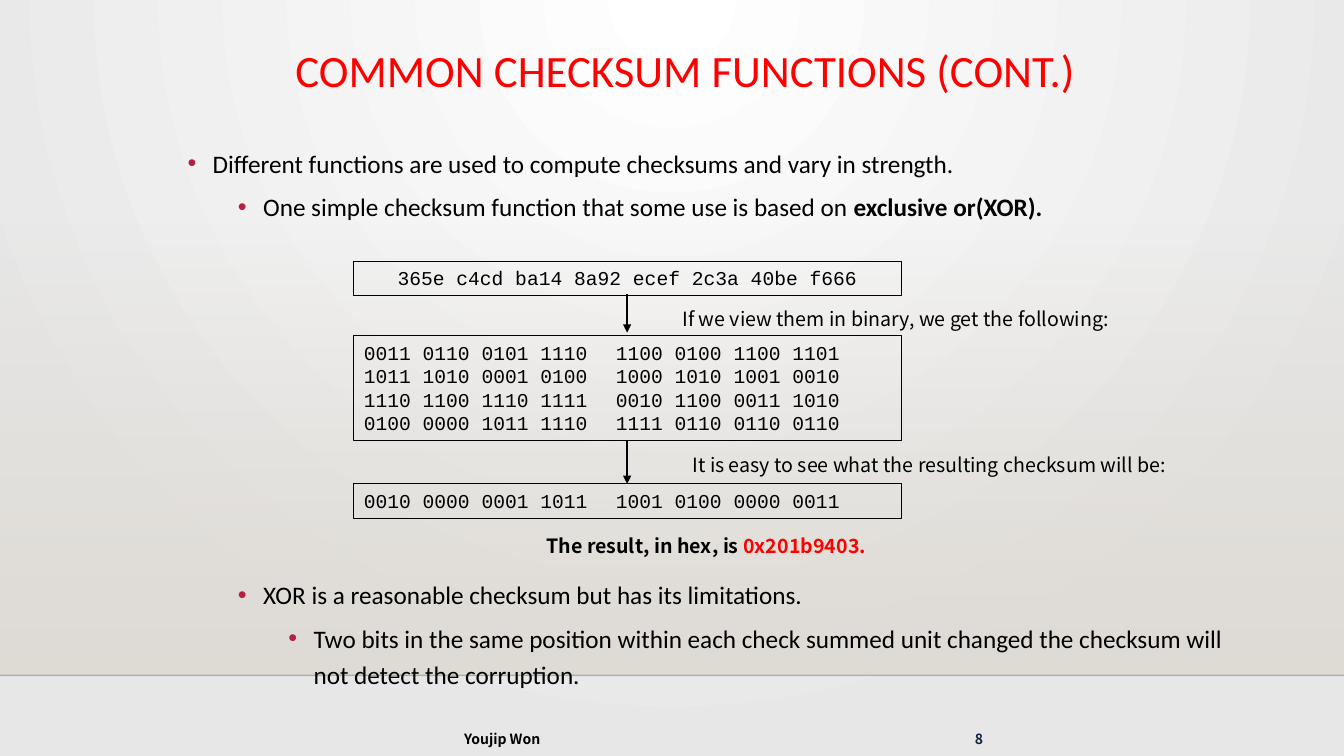
from lxml import etree
from pptx import Presentation
from pptx.dml.color import RGBColor
from pptx.enum.shapes import MSO_CONNECTOR, MSO_SHAPE
from pptx.enum.text import MSO_ANCHOR, MSO_AUTO_SIZE, PP_ALIGN
from pptx.oxml import parse_xml
from pptx.oxml.ns import nsdecls, qn
from pptx.util import Inches, Pt

RECTANGLE = MSO_SHAPE.RECTANGLE
STRAIGHT = MSO_CONNECTOR.STRAIGHT
LEFT, CENTER, RIGHT = PP_ALIGN.LEFT, PP_ALIGN.CENTER, PP_ALIGN.RIGHT
TOP, MIDDLE = MSO_ANCHOR.TOP, MSO_ANCHOR.MIDDLE
NO_AUTOFIT = MSO_AUTO_SIZE.NONE

BODY_FONT, CODE_FONT, NOTE_FONT = "Calibri", "Courier New", "Noto Sans CJK KR"
BLACK, RED, BULLET, NAVY = "000000", "FF0000", "B71E42", "0F243E"
BOX_LEFT, BOX_WIDTH, ARROW_X = 3.51, 5.43, 6.22

BULLETS = [
    (0, 10, [("Different functions are used to compute checksums and vary in strength.", False)]),
    (1, 5, [("One simple checksum function that some use is based on ", False),
            ("exclusive or(XOR).", True)]),
    (1, 251.5, [("XOR is a reasonable checksum but has its limitations.", False)]),
    (2, 5, [("Two bits in the same position within each check summed unit changed "
             "the checksum will not detect the corruption.", False)]),
]
BINARY_WORDS = """0011 0110 0101 1110\t1100 0100 1100 1101
1011 1010 0001 0100\t1000 1010 1001 0010
1110 1100 1110 1111\t0010 1100 0011 1010
0100 0000 1011 1110 \t1111 0110 0110 0110"""


def color(value):
    """Turn a hex string into a colour."""
    return RGBColor.from_string(value)


def format_run(run, font, size, fill, bold=False):
    """Set the font, size, colour and weight of a run."""
    run.font.name = font
    run.font.size = Pt(size)
    run.font.bold = bold
    run.font.color.rgb = color(fill)


def place(shape, left, top, width, height):
    """Move and resize a shape."""
    shape.left, shape.top = Inches(left), Inches(top)
    shape.width, shape.height = Inches(width), Inches(height)


def gradient_fill(stops, direction):
    """Build a gradient from (position, colour, opacity) stops."""
    items = "".join(
        f'<a:gs pos="{position * 1000}"><a:srgbClr val="{value}">'
        f'<a:alpha val="{opacity * 1000}"/></a:srgbClr></a:gs>'
        for position, value, opacity in stops)
    return parse_xml(f'<a:gradFill {nsdecls("a")} rotWithShape="1">'
                     f'<a:gsLst>{items}</a:gsLst>{direction}</a:gradFill>')


def replace_gradient(fill, parent, gradient):
    """Swap the default gradient of a fill for the given one."""
    fill.gradient()
    parent.replace(parent.find(qn("a:gradFill")), gradient)


def add_backdrop(slide):
    """Draw the radial background, the shaded wall and the floor line."""
    background = slide.background
    fill = background.fill
    fill.gradient()
    properties = next(slide.element.iter(qn("p:bgPr")))
    replace_gradient(fill, properties, gradient_fill(
        [(0, "FFFFFF", 100), (100, "E7E7E7", 100)],
        '<a:path path="circle"><a:fillToRect l="43000" t="0" r="43000" b="100000"/></a:path>'))
    wall = slide.shapes.add_shape(RECTANGLE, 0, Inches(2.21), Inches(13.33), Inches(4.49))
    wall.shadow.inherit = False
    wall.line.fill.background()
    replace_gradient(wall.fill, wall.element.spPr, gradient_fill(
        [(0, "DFDBD5", 0), (100, "DFDBD5", 100)], '<a:lin ang="5400000" scaled="0"/>'))
    floor = add_line(slide, (0, 6.7), (13.33, 6.7), "000001")
    line_color = next(floor.element.spPr.iter(qn("a:srgbClr")))
    etree.SubElement(line_color, qn("a:alpha")).set("val", "20000")


def add_line(slide, start, end, value):
    """Add a one-point line without a shadow."""
    line = slide.shapes.add_connector(STRAIGHT, *map(Inches, start + end))
    line.line.color.rgb = color(value)
    line.line.width = Pt(1)
    etree.SubElement(line.element.spPr, qn("a:effectLst"))
    return line


def add_down_arrow(slide, top, bottom):
    """Add a downward arrow between two boxes."""
    arrow = add_line(slide, (ARROW_X, top), (ARROW_X, bottom), BLACK)
    line_element = arrow.element.spPr.find(qn("a:ln"))
    etree.SubElement(line_element, qn("a:tailEnd")).set("type", "triangle")


def fill_title(title, text):
    """Move the title placeholder and format its text."""
    place(title, 2.83, 0.43, 10.5, 1.15)
    frame = title.text_frame
    frame.text = text
    frame.vertical_anchor = TOP
    frame.auto_size = NO_AUTOFIT
    paragraph = frame.paragraphs[0]
    paragraph.alignment = LEFT
    paragraph.line_spacing = 0.9
    format_run(paragraph.runs[0], BODY_FONT, 32, RED)


def set_bullet(paragraph, level):
    """Give a paragraph its coloured bullet and hanging indent."""
    properties = paragraph._p.get_or_add_pPr()
    properties.set("marL", str(Inches(0.25 + 0.5 * level)))
    properties.set("indent", str(Inches(-0.25)))
    bullet_color = etree.SubElement(properties, qn("a:buClr"))
    etree.SubElement(bullet_color, qn("a:srgbClr")).set("val", BULLET)
    etree.SubElement(properties, qn("a:buFont")).set("typeface", "Arial")
    etree.SubElement(properties, qn("a:buChar")).set("char", "•")


def fill_body(body):
    """Move the body placeholder and write its bullet list."""
    place(body, 1.76, 1.36, 10.5, 5.6)
    frame = body.text_frame
    frame.auto_size = NO_AUTOFIT
    for index, (level, space_before, pieces) in enumerate(BULLETS):
        paragraph = frame.add_paragraph() if index else frame.paragraphs[0]
        paragraph.level = level
        paragraph.line_spacing = 1.2
        paragraph.space_before = Pt(space_before)
        set_bullet(paragraph, level)
        for text, bold in pieces:
            run = paragraph.add_run()
            run.text = text
            format_run(run, BODY_FONT, 18, BLACK, bold)


def add_code_box(slide, top, height, text, alignment=LEFT):
    """Add an outlined box of monospaced digits."""
    box = slide.shapes.add_shape(RECTANGLE, Inches(BOX_LEFT), Inches(top),
                                 Inches(BOX_WIDTH), Inches(height))
    box.shadow.inherit = False
    box.fill.background()
    box.line.color.rgb = color(BLACK)
    box.line.width = Pt(0.75)
    frame = box.text_frame
    frame.text = text
    frame.vertical_anchor = TOP
    for paragraph in frame.paragraphs:
        paragraph.alignment = alignment
        tabs = etree.SubElement(paragraph._p.get_or_add_pPr(), qn("a:tabLst"))
        etree.SubElement(tabs, qn("a:tab"), pos=str(Inches(2.5)), algn="l")
        format_run(paragraph.runs[0], CODE_FONT, 14, BLACK)


def add_note(slide, bounds, pieces, size=14, bold=False, alignment=LEFT, anchor=TOP):
    """Add a text box of (text, colour) pieces."""
    frame = slide.shapes.add_textbox(*map(Inches, bounds)).text_frame
    frame.word_wrap = True
    frame.vertical_anchor = anchor
    paragraph = frame.paragraphs[0]
    paragraph.alignment = alignment
    for text, value in pieces:
        run = paragraph.add_run()
        run.text = text
        format_run(run, NOTE_FONT, size, value, bold)


def main():
    """Build the checksum slide and save it."""
    presentation = Presentation()
    presentation.slide_width, presentation.slide_height = Inches(13.33), Inches(7.5)
    slide = presentation.slides.add_slide(presentation.slide_layouts[1])
    title, body = slide.placeholders
    add_backdrop(slide)
    for placeholder in (title, body):
        slide.shapes._spTree.append(placeholder.element)
    fill_title(title, "COMMON CHECKSUM FUNCTIONS (CONT.)")
    fill_body(body)
    add_note(slide, (8.71, 7.21, 1.17, 0.24), [("8 ", NAVY)], 10, True, RIGHT, MIDDLE)
    add_note(slide, (3.32, 7.2, 3.32, 0.24), [("Youjip Won", BLACK)], 10, True, CENTER)
    add_code_box(slide, 2.59, 0.34, "365e c4cd ba14 8a92 ecef 2c3a 40be f666", CENTER)
    add_code_box(slide, 3.33, 1.04, BINARY_WORDS)
    add_code_box(slide, 4.8, 0.34, "0010 0000 0001 1011\t1001 0100 0000 0011")
    add_down_arrow(slide, 2.92, 3.3)
    add_down_arrow(slide, 4.37, 4.8)
    add_note(slide, (6.67, 3, 4.53, 0.34),
             [("If we view them in binary, we get the following:", BLACK)])
    add_note(slide, (6.77, 4.44, 5.06, 0.34),
             [("It is easy to see what the resulting checksum will be:", BLACK)])
    add_note(slide, (5.32, 5.25, 3.39, 0.34),
             [("The result, in hex, is ", BLACK), ("0x201b9403.", RED)], bold=True)
    presentation.save("out.pptx")


if __name__ == "__main__":
    main()
